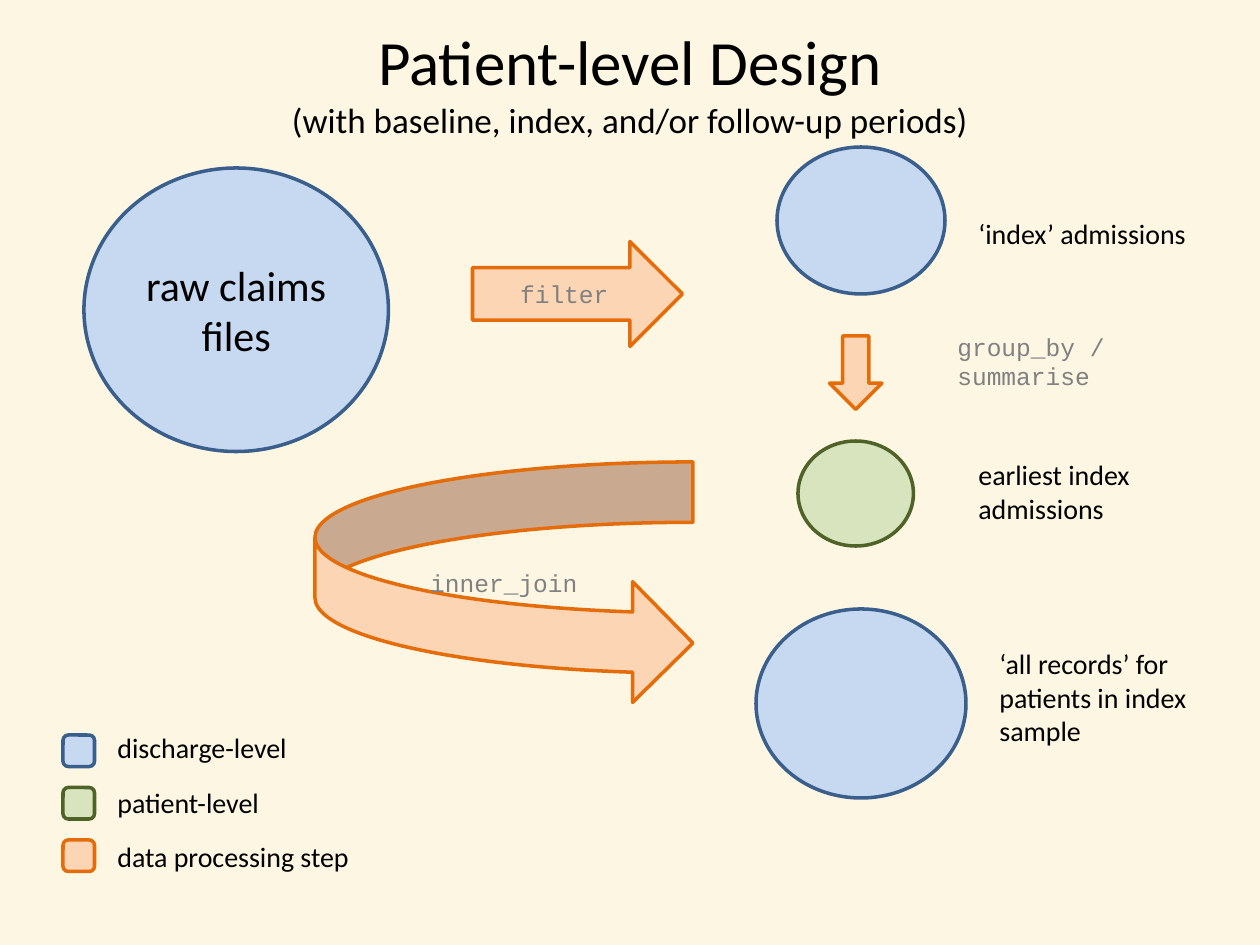
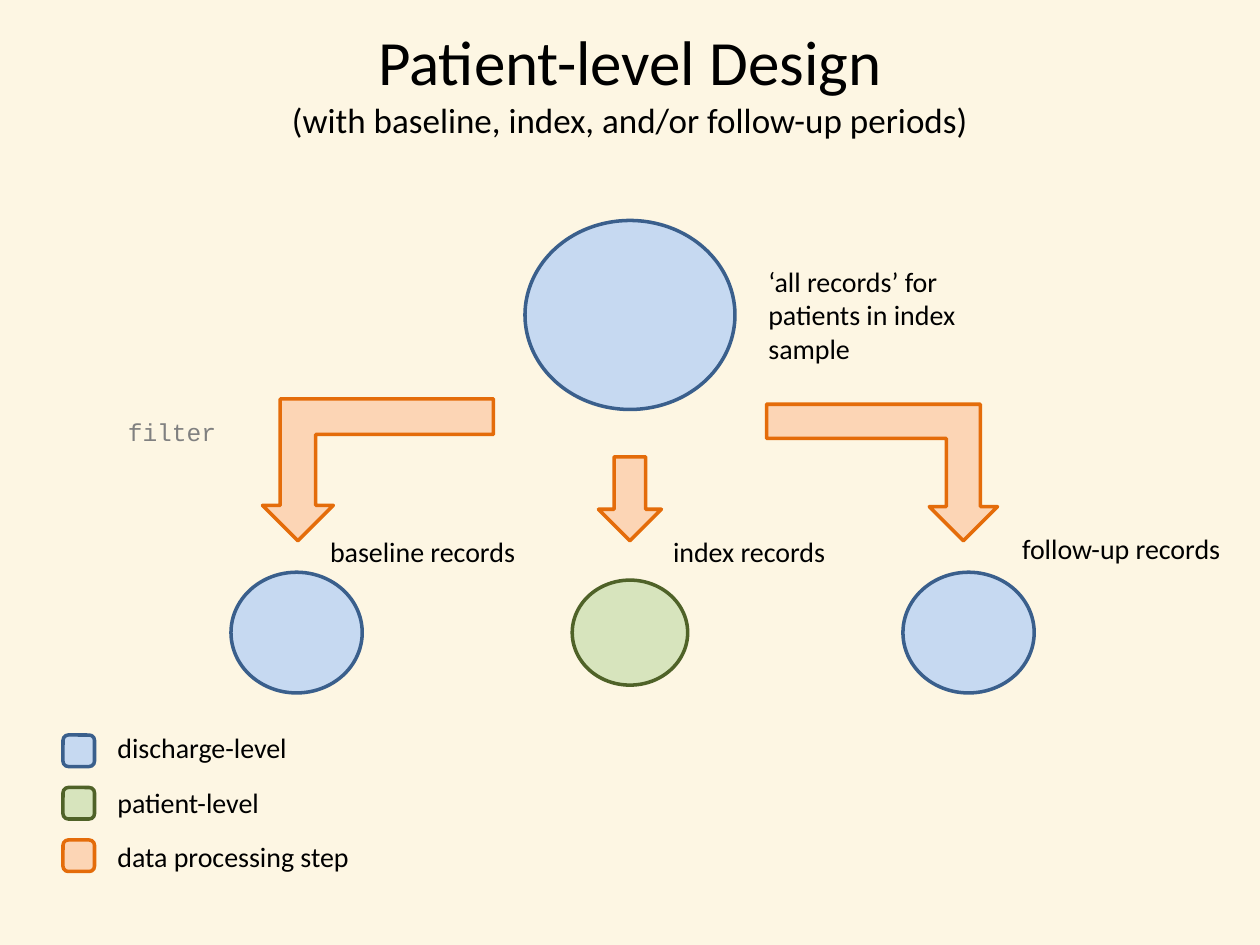
"""Build two slides that diagram a patient-level study design."""
from lxml import etree
from pptx import Presentation
from pptx.dml.color import RGBColor
from pptx.enum import shapes, text
from pptx.oxml.ns import qn
from pptx.util import Pt

BLACK = RGBColor(0x00, 0x00, 0x00)
GRAY = RGBColor(0x80, 0x80, 0x80)
CREAM = RGBColor(0xFD, 0xF6, 0xE3)
DISCHARGE = (RGBColor(0xC6, 0xD9, 0xF1), RGBColor(0x3A, 0x5F, 0x8C))
PATIENT = (RGBColor(0xD7, 0xE4, 0xBD), RGBColor(0x4F, 0x62, 0x28))
STEP = (RGBColor(0xFC, 0xD5, 0xB5), RGBColor(0xE4, 0x6C, 0x0A))
BODY = ("Calibri", 16, BLACK)
CODE = ("Courier New", 14, GRAY)
HEADING = ("Calibri", 24, BLACK)
TITLE = ("Calibri", 36, BLACK)
SUBTITLE = ("Calibri", 20, BLACK)
KIND = shapes.MSO_SHAPE
LEGEND = [("discharge-level", DISCHARGE), ("patient-level", PATIENT), ("data processing step", STEP)]
ALL_RECORDS = "‘all records’ for patients in index sample"


def add_span(para, words, style):
    span = para.add_run()
    span.text = words
    span.font.name, size, span.font.color.rgb = style
    span.font.size = Pt(size)


def add_item(page, place, lines=(), style=BODY, kind=None, colors=None, turn=0):
    place = [Pt(length) for length in place]
    if kind is None:
        item = page.shapes.add_textbox(*place)
    else:
        item = page.shapes.add_shape(kind, *place)
        item.shadow.inherit = False
        item.rotation = turn
        item.fill.solid()
        item.fill.fore_color.rgb, item.line.color.rgb = colors
        item.line.width = Pt(2)
        item.text_frame.vertical_anchor = text.MSO_ANCHOR.MIDDLE
    frame = item.text_frame
    frame.word_wrap = True
    for index, line in enumerate(lines):
        para = frame.add_paragraph() if index else frame.paragraphs[0]
        para.alignment = text.PP_ALIGN.CENTER if kind else text.PP_ALIGN.LEFT
        add_span(para, line, style)
    return item


deck = Presentation()
deck.slide_width, deck.slide_height = Pt(720), Pt(540)
deck.slide_master.background.fill.solid()
deck.slide_master.background.fill.fore_color.rgb = CREAM
selection, periods = [deck.slides.add_slide(deck.slide_layouts[5]) for _ in range(2)]

for page in (selection, periods):
    title = page.shapes.title
    title.left, title.top, title.width, title.height = Pt(36), Pt(1.5), Pt(648), Pt(90)
    title.text_frame.auto_size = text.MSO_AUTO_SIZE.NONE
    title.text_frame.vertical_anchor = text.MSO_ANCHOR.MIDDLE
    para = title.text_frame.paragraphs[0]
    para.alignment = text.PP_ALIGN.CENTER
    add_span(para, "Patient-level Design", TITLE)
    para.add_line_break()
    etree.SubElement(para._p[-1], qn("a:rPr"), sz="3600")
    add_span(para, "(with baseline, index, and/or follow-up periods)", SUBTITLE)

    legend = add_item(page, (60, 414, 198, 90), [name for name, _ in LEGEND])
    for row, (para, (_, colors)) in enumerate(zip(legend.text_frame.paragraphs, LEGEND)):
        para.space_after = Pt(12)
        add_item(page, (36, 420 + 30 * row, 18, 18), kind=KIND.ROUNDED_RECTANGLE, colors=colors)

add_item(selection, (48, 96, 174, 162), ["raw claims files"], HEADING, KIND.OVAL, DISCHARGE)
add_item(selection, (270, 138, 120, 60), ["filter"], CODE, KIND.RIGHT_ARROW, STEP)
add_item(selection, (468, 198, 42, 30), kind=KIND.RIGHT_ARROW, colors=STEP, turn=90)
add_item(selection, (180, 264, 216, 138), ["inner_join"], CODE, KIND.CURVED_RIGHT_ARROW, STEP)
for place, colors in [
    ((444, 84, 96, 84), DISCHARGE),
    ((456, 252, 66, 60), PATIENT),
    ((432, 348, 120, 108), DISCHARGE),
]:
    add_item(selection, place, kind=KIND.OVAL, colors=colors)
for place, lines, style in [
    ((552, 120, 144, 26.5), ["‘index’ admissions"], BODY),
    ((540, 186, 144, 41), ["group_by /", "summarise"], CODE),
    ((552, 258, 156, 46), ["earliest index admissions"], BODY),
    ((564, 366, 144, 65.5), [ALL_RECORDS], BODY),
]:
    add_item(selection, place, lines, style)

add_item(periods, (300, 126, 120, 108), kind=KIND.OVAL, colors=DISCHARGE)
add_item(periods, (432, 147.5, 144, 65.5), [ALL_RECORDS])
add_item(periods, (66, 234.5, 69, 24.5), ["filter"], CODE)
add_item(periods, (150, 228, 132, 81), kind=KIND.BENT_UP_ARROW, colors=STEP, turn=180)
add_item(periods, (342, 261, 36, 48), kind=KIND.DOWN_ARROW, colors=STEP)
follow_up_arrow = add_item(periods, (438, 231, 132, 78), kind=KIND.BENT_UP_ARROW, colors=STEP, turn=180)
follow_up_arrow.element.spPr.xfrm.set("flipH", "1")
for name, label_left, label_top, circle, colors in [
    ("baseline records", 181.5, 302, (132, 327, 75, 69), DISCHARGE),
    ("index records", 377.5, 302, (327, 331.5, 66, 60), PATIENT),
    ("follow-up records", 577, 300, (516, 327, 75, 69), DISCHARGE),
]:
    add_item(periods, circle, kind=KIND.OVAL, colors=colors)
    add_item(periods, (label_left, label_top, 129, 26.5), [name])

deck.save("out.pptx")
